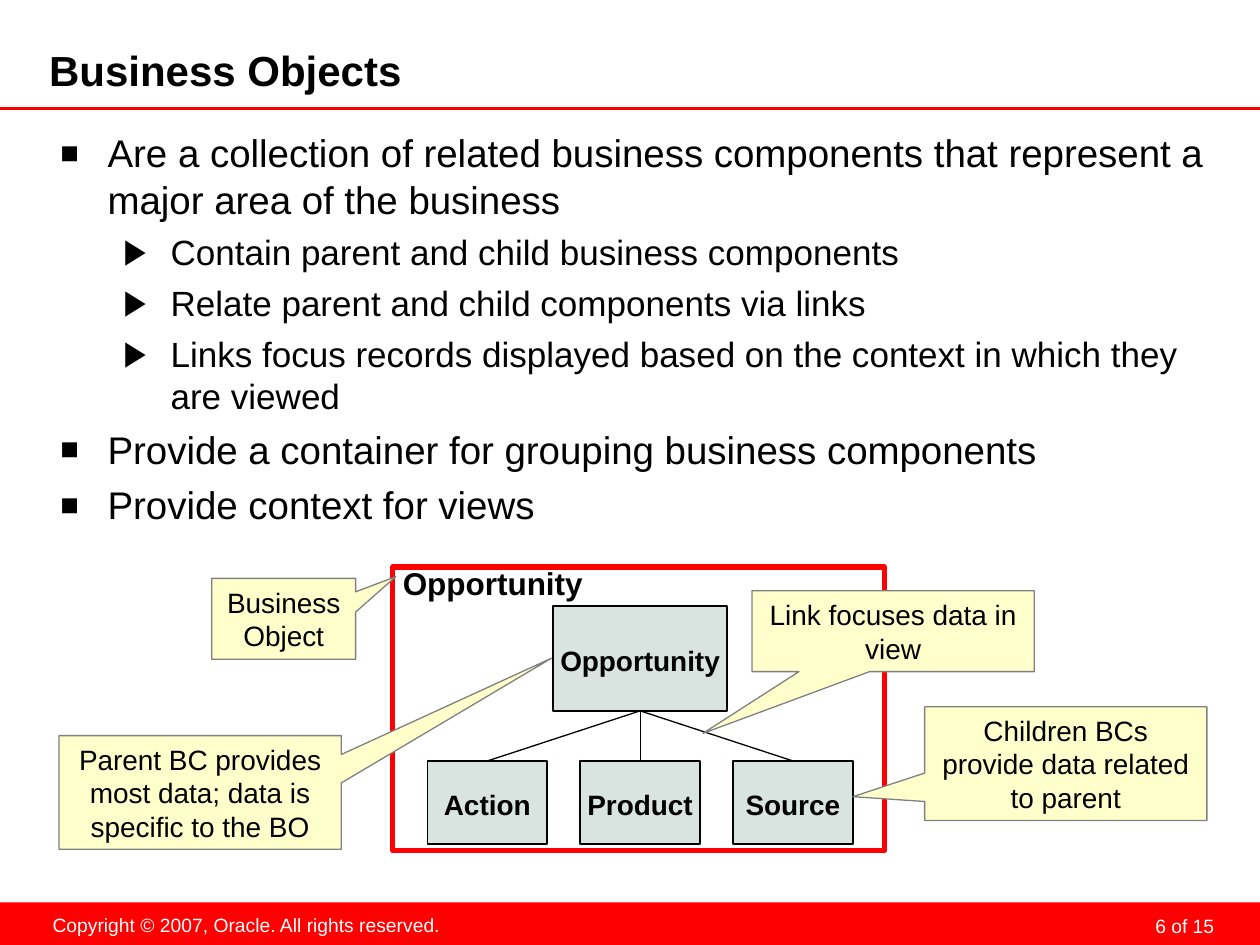
from dataclasses import dataclass
from typing import Optional

import pptx
import pptx.dml.color
import pptx.enum.shapes
import pptx.enum.text
import pptx.oxml.ns
import pptx.util
from lxml import etree

Cm = pptx.util.Cm
Pt = pptx.util.Pt
SHAPE = pptx.enum.shapes.MSO_SHAPE
ALIGN = pptx.enum.text.PP_ALIGN
ANCHOR = pptx.enum.text.MSO_ANCHOR
qn = pptx.oxml.ns.qn

COLORS = {
    "red": "FF0000",
    "black": "000000",
    "white": "FFFFFF",
    "component": "D9E3E0",
    "callout": "FFFFCC",
    "callout_edge": "808080",
}
FONT = "Arial"
INSETS = (0.25, 0.13, 0.25, 0.13)


@dataclass
class Area:
    left: float
    top: float
    width: float
    height: float

    def lengths(self) -> tuple:
        return Cm(self.left), Cm(self.top), Cm(self.width), Cm(self.height)


@dataclass
class Bullet:
    text: str
    level: int = 0


@dataclass
class BulletStyle:
    symbol: str
    percent: int
    size: float
    indent: float
    space_before: float


@dataclass
class Callout:
    text: str
    area: Area
    tip: tuple


BULLET_STYLES = [
    BulletStyle("■", 80, 22, 0.95, 5.5),
    BulletStyle("▶", 100, 20, 2.22, 5),
]
HANGING = 0.95

BULLETS = [
    Bullet("Are a collection of related business components that represent a "
           "major area of the business"),
    Bullet("Contain parent and child business components", 1),
    Bullet("Relate parent and child components via links", 1),
    Bullet("Links focus records displayed based on the context in which they "
           "are viewed", 1),
    Bullet("Provide a container for grouping business components"),
    Bullet("Provide context for views"),
]

CALLOUTS = [
    Callout("Parent BC provides most data; data is specific to the BO",
            Area(1.19, 14.83, 5.69, 2.29), (1.245, -1.182)),
    Callout("Children BCs provide data related to parent",
            Area(18.64, 14.25, 5.69, 2.29), (-0.754, 0.291)),
    Callout("Link focuses data in view",
            Area(15.16, 11.91, 5.69, 1.63), (-0.674, 1.264)),
    Callout("Business Object",
            Area(4.27, 11.66, 2.9, 1.63), (0.779, -0.521)),
]


def rgb(name: str):
    return pptx.dml.color.RGBColor.from_string(COLORS[name])


def add_span(para, text: str, size: float, color: str = "black",
             bold: bool = False) -> None:
    span = para.add_run()
    span.text = text
    span.font.name = FONT
    span.font.size = Pt(size)
    span.font.bold = bold
    span.font.color.rgb = rgb(color)


def set_frame(box, insets: tuple = INSETS, anchor=ANCHOR.TOP,
              wrap: bool = True):
    frame = box.text_frame
    frame.word_wrap = wrap
    frame.vertical_anchor = anchor
    (frame.margin_left, frame.margin_top,
     frame.margin_right, frame.margin_bottom) = [Cm(inset) for inset in insets]
    return frame


def write_text(box, text: str, *, size: float, color: str = "black",
               bold: bool = False, align=ALIGN.LEFT, line_points: float = 0,
               **frame_format) -> None:
    para = set_frame(box, **frame_format).paragraphs[0]
    para.alignment = align
    if line_points:
        para.line_spacing = Pt(line_points)
    add_span(para, text, size, color, bold)


def add_text(page, area: Area, text: str, **text_format) -> None:
    write_text(page.shapes.add_textbox(*area.lengths()), text, **text_format)


def add_box(page, preset, area: Area, fill: Optional[str] = None,
            line: Optional[str] = None, weight: float = 1):
    box = page.shapes.add_shape(preset, *area.lengths())
    box.shadow.inherit = False
    if fill:
        box.fill.solid()
        box.fill.fore_color.rgb = rgb(fill)
    else:
        box.fill.background()
    if line:
        box.line.color.rgb = rgb(line)
        box.line.width = Pt(weight)
    else:
        box.line.fill.background()
    return box


def add_line(page, start: tuple, end: tuple, color: str, weight: float):
    points = [Cm(value) for value in start + end]
    line = page.shapes.add_connector(
        pptx.enum.shapes.MSO_CONNECTOR.STRAIGHT, *points)
    line.line.color.rgb = rgb(color)
    line.line.width = Pt(weight)
    etree.SubElement(line._element.spPr, qn("a:effectLst"))
    return line


def add_component(page, name: str, area: Area):
    box = add_box(page, SHAPE.RECTANGLE, area, "component", "black")
    write_text(box, name, size=16, bold=True, align=ALIGN.CENTER,
               line_points=18, insets=(0.13, 0.25, 0.13, 0.13),
               anchor=ANCHOR.MIDDLE, wrap=False)
    return box


def add_callout(page, callout: Callout) -> None:
    box = add_box(page, SHAPE.RECTANGULAR_CALLOUT, callout.area,
                  "callout", "callout_edge", 0.75)
    box.adjustments[0], box.adjustments[1] = callout.tip
    write_text(box, callout.text, size=16, align=ALIGN.CENTER,
               anchor=ANCHOR.MIDDLE)


def set_bullet(para, style: BulletStyle) -> None:
    props = para._p.get_or_add_pPr()
    props.set("marL", str(Cm(style.indent)))
    props.set("indent", str(-Cm(HANGING)))
    tint = etree.SubElement(props, qn("a:buClr"))
    etree.SubElement(tint, qn("a:srgbClr"), val=COLORS["black"])
    etree.SubElement(props, qn("a:buSzPct"), val=str(style.percent * 1000))
    etree.SubElement(props, qn("a:buFont"), typeface=FONT)
    etree.SubElement(props, qn("a:buChar"), char=style.symbol)


def add_bullets(page, area: Area, bullets: list) -> None:
    frame = set_frame(page.shapes.add_textbox(*area.lengths()),
                      insets=(0.25, 0.25, 0.25, 0.13))
    for index, bullet in enumerate(bullets):
        para = frame.add_paragraph() if index else frame.paragraphs[0]
        style = BULLET_STYLES[bullet.level]
        para.level = bullet.level
        set_bullet(para, style)
        if index:
            para.space_before = Pt(style.space_before)
        add_span(para, bullet.text, style.size)


def main() -> None:
    deck = pptx.Presentation()
    deck.slide_width, deck.slide_height = Cm(25.4), Cm(19.05)
    page = deck.slides.add_slide(deck.slide_layouts[6])

    # Footer band and title rule
    add_box(page, SHAPE.RECTANGLE, Area(0, 18.19, 25.4, 0.86), "red")
    add_text(page, Area(18.69, 18.26, 5.92, 0.64), "6 of 15", size=11,
             color="white", align=ALIGN.RIGHT, line_points=18,
             insets=(0.13, 0, 0.13, 0))
    add_text(page, Area(0.79, 18.29, 8.36, 0.74),
             "Copyright © 2007, Oracle. All rights reserved.", size=11,
             color="white", align=ALIGN.CENTER, wrap=False)
    add_line(page, (0, 2.18), (25.4, 2.18), "red", 1.75)

    # Title and bullets
    add_text(page, Area(0.99, 0.97, 19.99, 1.02), "Business Objects", size=24,
             bold=True, insets=(0, 0, 0.13, 0.13), anchor=ANCHOR.MIDDLE)
    add_bullets(page, Area(0.97, 2.36, 23.62, 15.62), BULLETS)

    # Business object with its parent and child components
    add_box(page, SHAPE.RECTANGLE, Area(7.92, 11.43, 9.91, 5.72),
            line="red", weight=3)
    parent = add_component(page, "Opportunity", Area(11.15, 12.22, 3.51, 2.11))
    for index, name in enumerate(["Action", "Product", "Source"]):
        child = add_component(page, name,
                              Area(8.62 + 3.08 * index, 15.34, 2.41, 1.68))
        link = add_line(page, (0, 0), (1, 1), "black", 0.75)
        link.begin_connect(parent, 2)
        link.end_connect(child, 0)
    add_text(page, Area(7.87, 11.25, 4.32, 1.02), "Opportunity", size=18,
             bold=True)

    # Explanations
    for callout in CALLOUTS:
        add_callout(page, callout)

    deck.save("out.pptx")


if __name__ == "__main__":
    main()
